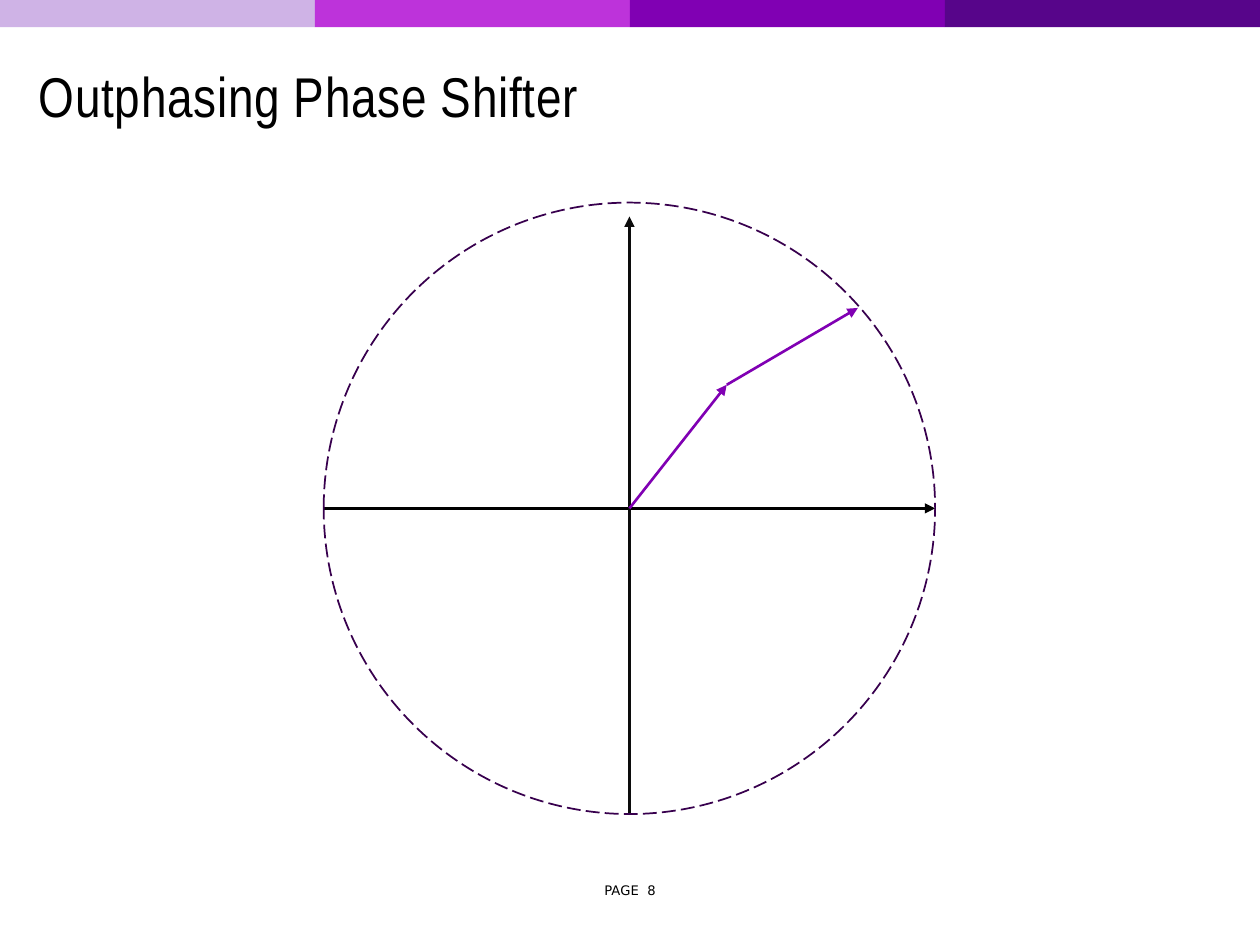
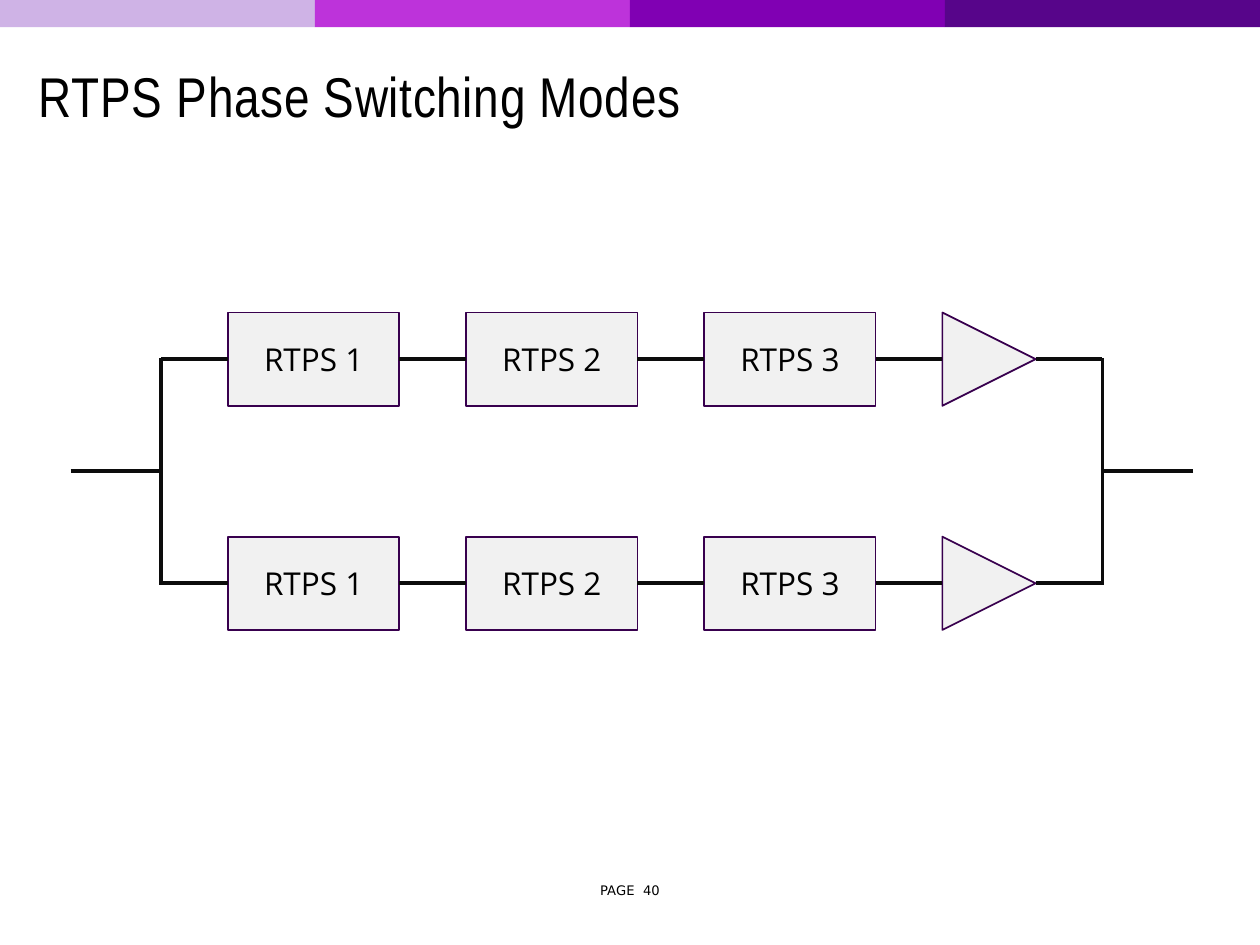
import pptx
import pptx.dml.color
import pptx.enum.dml
import pptx.enum.shapes
import pptx.enum.text
import pptx.oxml.ns
import pptx.util
from lxml import etree

Pt = pptx.util.Pt
SHAPE = pptx.enum.shapes.MSO_SHAPE
ALIGN = pptx.enum.text.PP_ALIGN
PAGE_WIDTH, PAGE_HEIGHT = 720, 540

BLACK, WIRE, OUTLINE = "000000", "0C0C0C", "38004E"
VECTOR, BLOCK_FILL = "8000B3", "F1F1F1"
BAND_COLOURS = ["CFB3E6", "BD33DA", "8000B3", "57058A"]


def colour(value):
    return pptx.dml.color.RGBColor.from_string(value)


def add_figure(page, kind, box, fill=None, line=None):
    """Add a preset shape with a plain fill and a 1 pt outline."""
    shape = page.shapes.add_shape(kind, *map(Pt, box))
    shape.shadow.inherit = False
    if fill:
        shape.fill.solid()
        shape.fill.fore_color.rgb = colour(fill)
    else:
        shape.fill.background()
    if line:
        shape.line.color.rgb = colour(line)
        shape.line.width = Pt(1)
    else:
        shape.line.fill.background()
    return shape


def add_line(page, start, end, line, width, arrow=False):
    connector = page.shapes.add_connector(
        pptx.enum.shapes.MSO_CONNECTOR.STRAIGHT, *map(Pt, (*start, *end)))
    connector.line.color.rgb = colour(line)
    connector.line.width = Pt(width)
    if arrow:
        etree.SubElement(connector.line._get_or_add_ln(),
                         pptx.oxml.ns.qn("a:tailEnd"), type="triangle")
    etree.SubElement(connector._element.spPr, pptx.oxml.ns.qn("a:effectLst"))


def write(shape, text, font, size, align):
    frame = shape.text_frame
    frame.word_wrap = True
    frame.vertical_anchor = pptx.enum.text.MSO_ANCHOR.MIDDLE
    para = frame.paragraphs[0]
    para.text = text
    para.alignment = align
    para.font.name = font
    para.font.size = Pt(size)
    para.font.color.rgb = colour(BLACK)
    return para


def add_page(deck, title, number):
    """Add a blank page with the colour band, title and page number."""
    page = deck.slides.add_slide(deck.slide_layouts[6])
    # Colour band
    width = PAGE_WIDTH / len(BAND_COLOURS)
    for index, fill in enumerate(BAND_COLOURS):
        add_figure(page, SHAPE.RECTANGLE, (index * width, 0, width, 15.6), fill)
    # Page number
    footer = page.shapes.add_textbox(*map(Pt, (330, 499, 60, 19.4)))
    write(footer, f"PAGE  {number}", "DejaVu Sans", 7.5, ALIGN.CENTER)
    # Title
    heading = page.shapes.add_textbox(*map(Pt, (15.1, 22.3, 683.3, 70.6)))
    para = write(heading, title, "Arial Narrow", 32, ALIGN.LEFT)
    para.line_spacing = 0.85
    para.runs[0].font._element.set("spc", "40")
    return page


def draw_phasors(page, box):
    """Draw two chained vectors on axes inside a dashed circle."""
    left, top, size, _ = box
    radius = size / 2
    centre = (left + radius, top + radius)
    joint = (centre[0] + 55.6, centre[1] - 70.6)
    tip = (joint[0] + 74.9, joint[1] - 43.9)
    # Axes
    add_line(page, (left, centre[1]), (left + size, centre[1]), BLACK, 1.5, True)
    add_line(page, (centre[0], top + size), (centre[0], top + 7.9),
             WIRE, 1.5, True)
    # Vectors
    add_line(page, joint, tip, VECTOR, 1.5, True)
    add_line(page, centre, joint, VECTOR, 1.5, True)
    # Circle
    circle = add_figure(page, SHAPE.OVAL, box, line=OUTLINE)
    circle.line.dash_style = pptx.enum.dml.MSO_LINE.LONG_DASH


def draw_branches(page, box):
    """Draw two parallel chains of phase shifters between two rails."""
    left, top, width, height = box
    lead, block_width, block_height, gap = 51.8, 97.9, 53.3, 38.15
    pitch = block_width + gap
    rails = (left + lead, left + width - lead)
    middles = (top + block_height / 2, top + height - block_height / 2)
    first = rails[0] + gap
    amplifier_left = first + 3 * pitch
    # Blocks and amplifiers
    for middle in middles:
        row_top = middle - block_height / 2
        for index in range(3):
            block = add_figure(
                page, SHAPE.RECTANGLE,
                (first + index * pitch, row_top, block_width, block_height),
                BLOCK_FILL, OUTLINE)
            write(block, f"RTPS {index + 1}", "Open Sans", 18, ALIGN.CENTER)
        amplifier = add_figure(
            page, SHAPE.ISOSCELES_TRIANGLE,
            (amplifier_left, row_top, block_height, block_height),
            BLOCK_FILL, OUTLINE)
        amplifier.rotation = 90
    # Wires along each branch
    wire_starts = [rails[0] + index * pitch for index in range(4)]
    wire_starts.append(amplifier_left + block_height)
    for middle in middles:
        for start in wire_starts:
            add_line(page, (start, middle), (start + gap, middle), WIRE, 2.25)
    # Rails with their outer leads
    centre = top + height / 2
    for rail, outer in zip(rails, (left, left + width)):
        add_line(page, (rail, middles[1] + 0.7), (rail, middles[0] - 0.7),
                 WIRE, 2.25)
        add_line(page, (outer, centre), (rail, centre), WIRE, 2.25)


def main():
    deck = pptx.Presentation()
    deck.slide_width, deck.slide_height = Pt(PAGE_WIDTH), Pt(PAGE_HEIGHT)
    draw_phasors(add_page(deck, "Outphasing Phase Shifter", 8),
                 (185, 115.8, 349.4, 349.4))
    draw_branches(add_page(deck, "RTPS Phase Switching Modes", 40),
                  (40.4, 178.6, 641.4, 181.4))
    deck.save("out.pptx")


if __name__ == "__main__":
    main()
